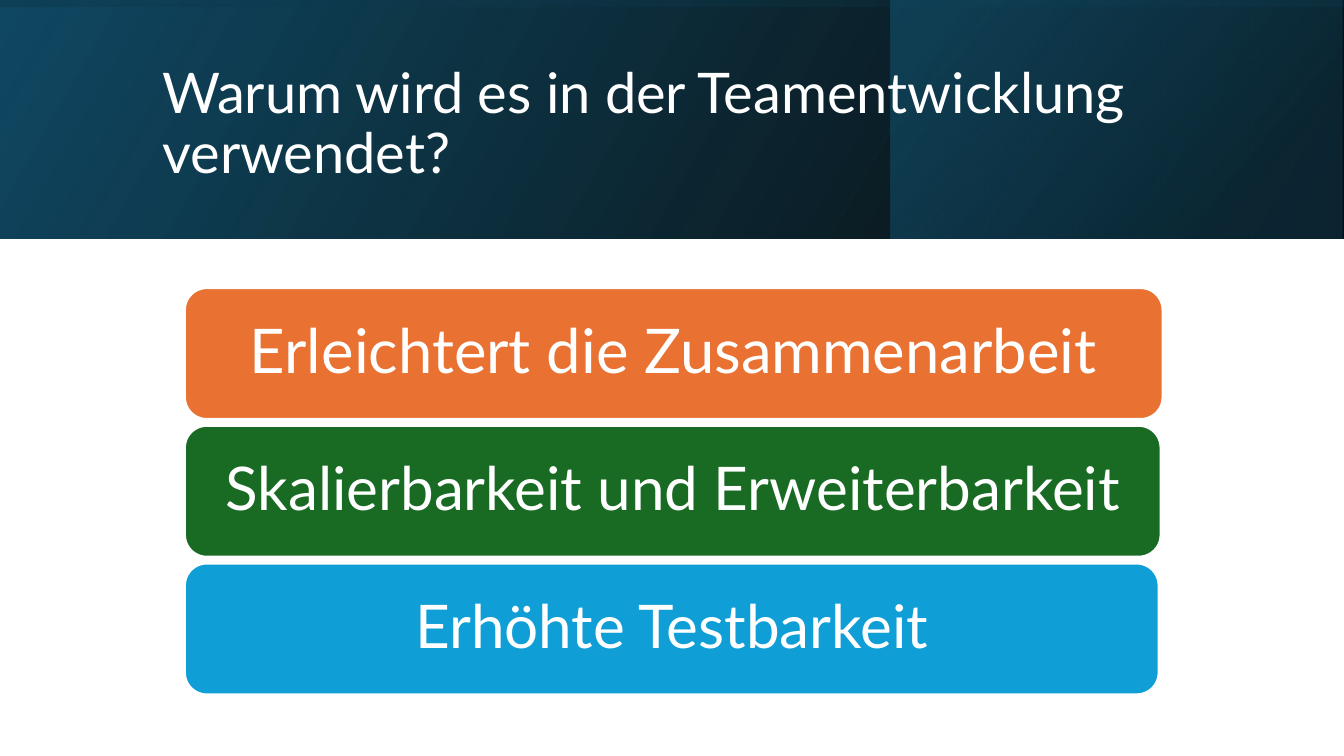
from lxml.etree import SubElement
from pptx import Presentation
from pptx.dml.color import RGBColor
from pptx.enum.shapes import MSO_SHAPE as SHAPE
from pptx.enum.text import MSO_ANCHOR as ANCHOR, MSO_AUTO_SIZE as AUTO_SIZE, PP_ALIGN as ALIGN
from pptx.oxml.ns import qn
from pptx.util import Cm, Pt

WIDTH, HEIGHT = 33.87, 19.05
BAND = 6.02


def rgb(value):
    return RGBColor.from_string(value)


class Deck:
    font = "Lato"
    white = "FFFFFF"

    def __init__(self):
        self.prs = Presentation()
        self.prs.slide_width, self.prs.slide_height = Cm(WIDTH), Cm(HEIGHT)
        self.slide = self.prs.slides.add_slide(self.prs.slide_layouts[5])

    def shape(self, kind, left, top, width, height):
        sp = self.slide.shapes.add_shape(kind, Cm(left), Cm(top), Cm(width), Cm(height))
        sp.shadow.inherit = False
        return sp

    def set_text(self, sp, text, size, align):
        tf = sp.text_frame
        tf.text = text
        tf.word_wrap = True
        tf.auto_size = AUTO_SIZE.NONE
        tf.vertical_anchor = ANCHOR.MIDDLE
        p = tf.paragraphs[0]
        p.alignment = align
        p.line_spacing = 0.9
        font = p.runs[0].font
        font.name, font.size = self.font, Pt(size)
        font.color.rgb = rgb(self.white)

    def title(self, text, left, top, width, height):
        sp = self.slide.shapes.title
        sp.left, sp.top, sp.width, sp.height = Cm(left), Cm(top), Cm(width), Cm(height)
        self.set_text(sp, text, 40, ALIGN.LEFT)
        tree = self.slide.shapes._spTree
        tree.remove(sp._element)
        tree.append(sp._element)

    def gradient(self, left, top, width, height, stops, angle, rotation=0):
        sp = self.shape(SHAPE.RECTANGLE, left, top, width, height)
        sp.rotation = rotation
        sp._element.spPr.find(qn("a:xfrm")).set("flipH", "1")
        sp.line.fill.background()
        sp.fill.gradient()
        sp.fill.gradient_angle = 360 - angle
        for stop, (position, color, opacity) in zip(sp.fill.gradient_stops, stops):
            stop.position = position / 100
            stop.color.rgb = rgb(color)
            clr = stop._gs.find(qn("a:srgbClr"))
            SubElement(clr, qn("a:alpha")).set("val", str(opacity * 1000))

    def bar(self, text, size, color, left, top, width, height):
        sp = self.shape(SHAPE.ROUNDED_RECTANGLE, left, top, width, height)
        sp.fill.solid()
        sp.fill.fore_color.rgb = rgb(color)
        sp.line.color.rgb = rgb(self.white)
        sp.line.width = Pt(1.5)
        self.set_text(sp, text, size, ALIGN.CENTER)


def main():
    deck = Deck()
    deck.gradient(0, 0, WIDTH, BAND, [(0, "000000", 96), (100, "104862", 100)], 330)
    deck.gradient(22.45, 0, 11.39, BAND, [(19, "0B3041", 68), (100, "156082", 48)], 320)
    offset = (WIDTH - BAND) / 2
    deck.gradient(offset, -offset, BAND, WIDTH,
                  [(23, "104862", 16), (99, "000000", 45)], 350, 270)
    deck.title("Warum wird es in der Teamentwicklung verwendet?", 3.84, 0.97, 27, 4.37)
    reasons = [
        ("Erleichtert die Zusammenarbeit", 44, "E97132"),
        ("Skalierbarkeit und Erweiterbarkeit", 43, "196B24"),
        ("Erhöhte Testbarkeit", 43, "0F9ED5"),
    ]
    for i, (text, size, color) in enumerate(reasons):
        deck.bar(text, size, color, 4.66, 7.26 + 3.47 * i, 24.64 - 0.05 * i, 3.3)
    deck.prs.save("out.pptx")


if __name__ == "__main__":
    main()
